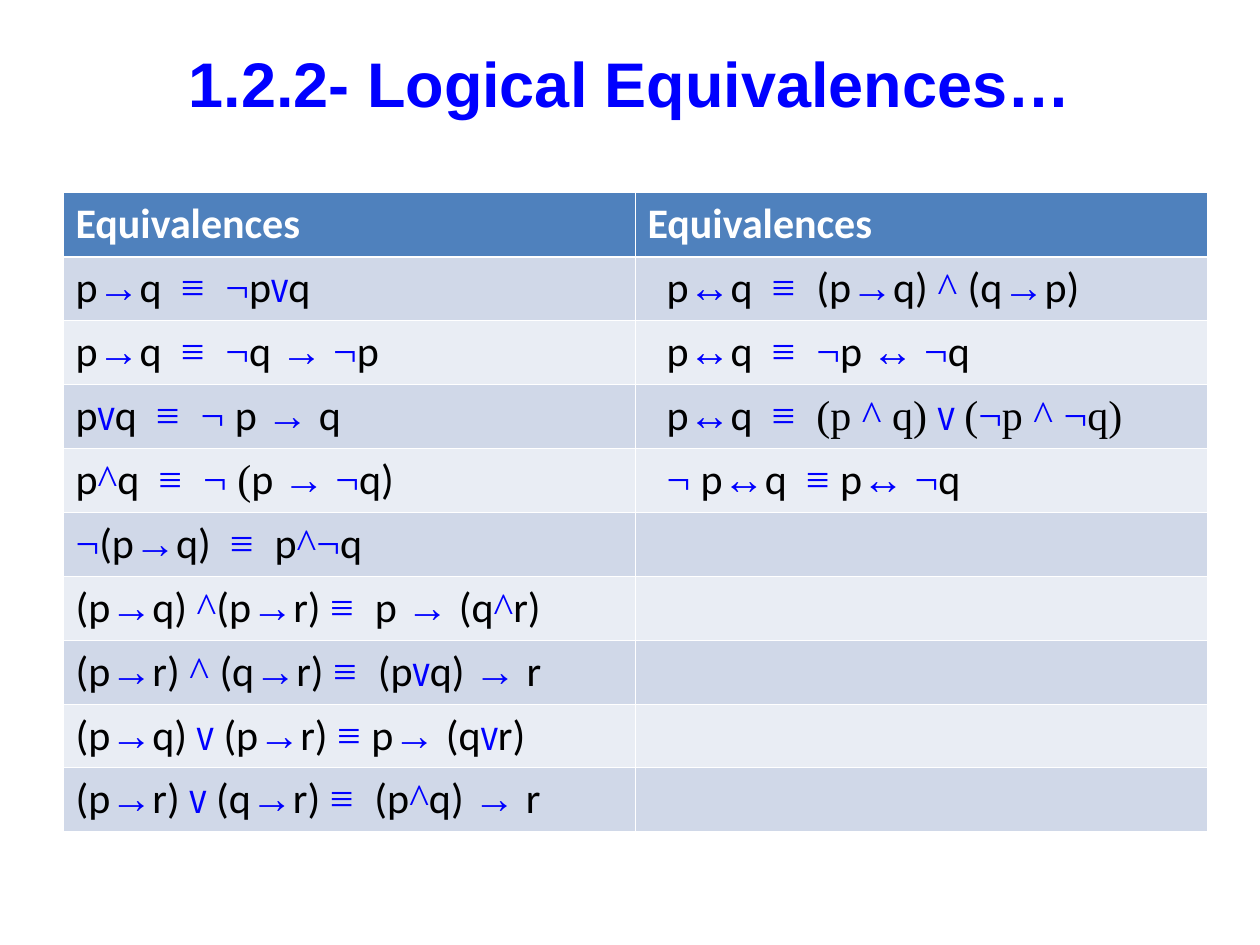
"""Build a slide listing logical equivalences in a two-column table."""
import dataclasses
import itertools

import pptx
import pptx.dml.color
import pptx.enum.text
import pptx.oxml.ns
import pptx.util
from lxml import etree

Inches = pptx.util.Inches
Pt = pptx.util.Pt


@dataclasses.dataclass(frozen=True)
class Theme:
    accent: str = "0000FF"
    ink: str = "000000"
    paper: str = "FFFFFF"
    header: str = "4F81BD"
    bands: tuple = ("D0D8E8", "E9EDF4")
    title_font: str = "Arial"
    body_font: str = "Calibri"
    symbol_font: str = "Times New Roman"
    or_font: str = "Arial Narrow"
    title_size: int = 36
    body_size: int = 24
    thin: float = 0.45
    thick: float = 1.47


THEME = Theme()
TITLE = "1.2.2- Logical Equivalences…"
HEADING = "Equivalences"
CONDITIONALS = [
    "p→q  ≡  ¬pvq",
    "p→q  ≡  ¬q → ¬p",
    "pvq  ≡  ¬ p → q",
    "p^q  ≡  ¬ [(]p → ¬q)",
    "¬(p→q)  ≡  p^¬q",
    "(p→q) ^(p→r) ≡  p → (q^r)",
    "(p→r) ^ (q→r) ≡  (pvq) → r",
    "(p→q) v (p→r) ≡ p→ (qvr)",
    "(p→r) v (q→r) ≡  (p^q) → r",
]
BICONDITIONALS = [
    "p↔q  ≡  (p→q) ^ (q→p)",
    "p↔q  ≡  ¬p ↔ ¬q",
    "p↔q  ≡  [(p ^ q) v (¬p ^ ¬q)]",
    "¬ p↔q  ≡ p↔ ¬q",
]
SYMBOLS = "→↔≡¬^"
COLUMN_MARGINS = (0.1, 0.25)
COLUMN_WIDTH, ROW_HEIGHT = 4.54, 0.5


def rgb(value):
    return pptx.dml.color.RGBColor.from_string(value)


def set_font(font, name, size, color, bold):
    font.name, font.size, font.bold = name, Pt(size), bold
    font.color.rgb = rgb(color)


def styled_characters(formula):
    """Yield each character with its font and colour; brackets enclose serif text."""
    letter_font = THEME.body_font
    style = (letter_font, THEME.ink)
    for character in formula:
        if character in "[]":
            letter_font = THEME.symbol_font if character == "[" else THEME.body_font
            continue
        if character in SYMBOLS:
            style = (THEME.symbol_font, THEME.accent)
        elif character == "v":
            style = (THEME.or_font, THEME.accent)
        elif character != " ":
            style = (letter_font, THEME.ink)
        yield character, style


def write_formula(paragraph, formula):
    for style, group in itertools.groupby(styled_characters(formula), lambda item: item[1]):
        run = paragraph.add_run()
        run.text = "".join(character for character, _ in group)
        set_font(run.font, style[0], THEME.body_size, style[1], False)


def set_borders(cell, top, bottom):
    properties = cell._tc.get_or_add_tcPr()
    widths = {"a:lnL": THEME.thin, "a:lnR": THEME.thin, "a:lnT": top, "a:lnB": bottom}
    qn = pptx.oxml.ns.qn
    for side, width in widths.items():
        line = etree.SubElement(properties, qn(side), w=str(int(Pt(width))))
        fill = etree.SubElement(line, qn("a:solidFill"))
        etree.SubElement(fill, qn("a:srgbClr"), val=THEME.paper)


def add_title(slide):
    title = slide.shapes.title
    title.left, title.top = Inches(0.5), Inches(0.3)
    title.width, title.height = Inches(9), Inches(0.7)
    title.text_frame.text = TITLE
    title.text_frame.vertical_anchor = pptx.enum.text.MSO_ANCHOR.MIDDLE
    paragraph = title.text_frame.paragraphs[0]
    paragraph.alignment = pptx.enum.text.PP_ALIGN.CENTER
    set_font(paragraph.font, THEME.title_font, THEME.title_size, THEME.accent, True)


def add_equivalences(slide):
    rows = list(itertools.zip_longest(CONDITIONALS, BICONDITIONALS, fillvalue=""))
    count = len(rows) + 1
    table = slide.shapes.add_table(
        count, 2, Inches(0.5), Inches(1.53),
        Inches(2 * COLUMN_WIDTH), Inches(count * ROW_HEIGHT)).table
    for row_index, formulas in enumerate([(HEADING, HEADING)] + rows):
        is_header = row_index == 0
        for column, content in enumerate(formulas):
            cell = table.cell(row_index, column)
            set_borders(cell,
                        THEME.thick if row_index == 1 else THEME.thin,
                        THEME.thick if is_header else THEME.thin)
            cell.fill.solid()
            cell.fill.fore_color.rgb = rgb(
                THEME.header if is_header else THEME.bands[(row_index - 1) % 2])
            paragraph = cell.text_frame.paragraphs[0]
            if is_header:
                paragraph.text = content
                set_font(paragraph.font, THEME.body_font, THEME.body_size, THEME.paper, True)
            else:
                cell.margin_left = Inches(COLUMN_MARGINS[column])
                write_formula(paragraph, content)


def main():
    presentation = pptx.Presentation()
    presentation.slide_width, presentation.slide_height = Inches(10), Inches(7.5)
    slide = presentation.slides.add_slide(presentation.slide_layouts[5])
    add_title(slide)
    add_equivalences(slide)
    presentation.save("out.pptx")


if __name__ == "__main__":
    main()
